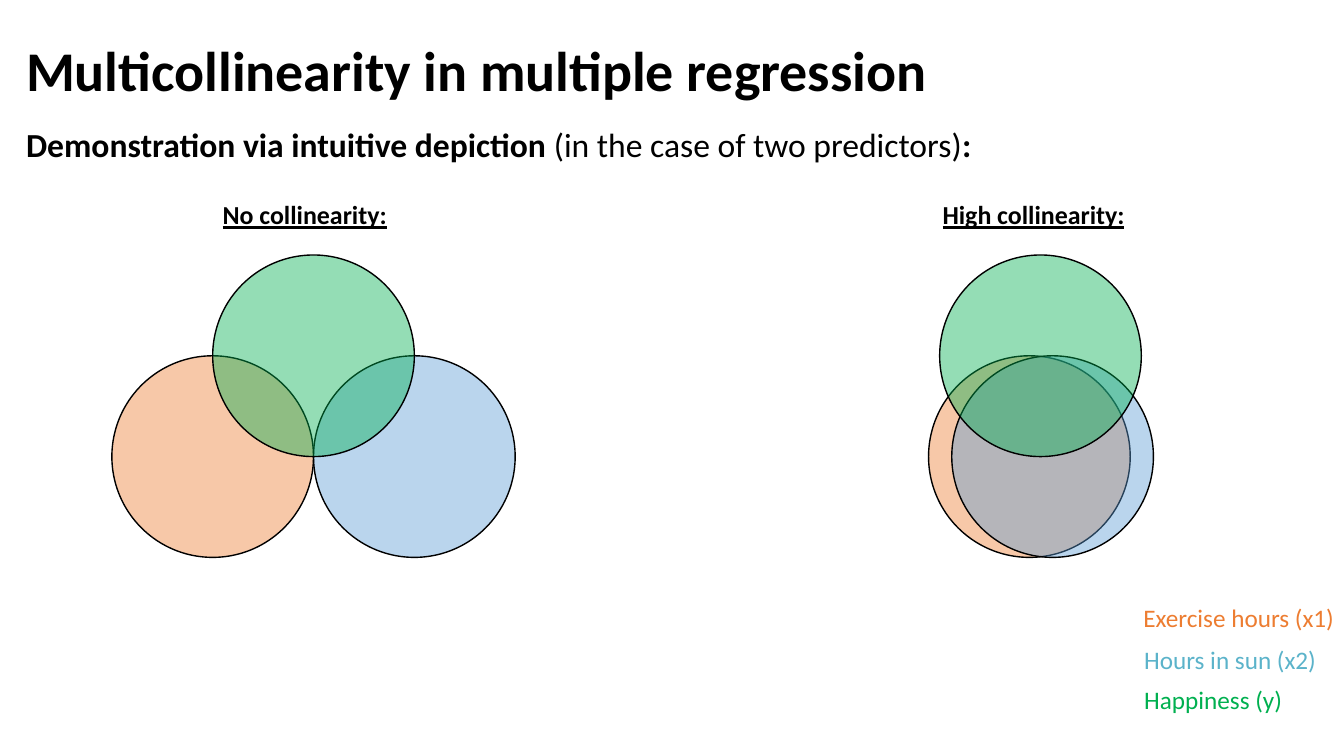
"""Build a slide that contrasts no collinearity with high collinearity."""
from lxml.etree import SubElement
from pptx import Presentation
from pptx.dml.color import RGBColor
from pptx.enum.shapes import MSO_SHAPE as Shape
from pptx.enum.text import MSO_ANCHOR as Anchor, MSO_AUTO_SIZE as AutoSize, PP_ALIGN as Align
from pptx.oxml.ns import qn
from pptx.util import Pt

PX = 9144
BLACK = RGBColor(0x00, 0x00, 0x00)
ORANGE = RGBColor(0xED, 0x7D, 0x31)
BLUE = RGBColor(0x5B, 0x9B, 0xD5)
SKY = RGBColor(0x5B, 0xB3, 0xCA)
GREEN = RGBColor(0x00, 0xB0, 0x50)
DIAMETER = 200
OPACITY = 42000

deck = Presentation()
deck.slide_width, deck.slide_height = 1333 * PX, 750 * PX
page = deck.slides.add_slide(deck.slide_layouts[6])


def add_text(frame, spans, frame_format, para_format, font_format):
    """Write one paragraph of (text, bold) spans into a new text box."""
    box = page.shapes.add_textbox(*(length * PX for length in frame))
    para = box.text_frame.paragraphs[0]
    for name, value in frame_format.items():
        setattr(box.text_frame, name, value)
    for name, value in para_format.items():
        setattr(para, name, value)
    for text, bold in spans:
        span = para.add_run()
        span.text = text
        span.font.name = "Calibri"
        span.font.bold = bold
        span.font.color.rgb = font_format["color"]
        span.font.size = Pt(font_format["size"])
        span.font.underline = font_format.get("underline", False)


def add_circle(left, top, color):
    """Draw one translucent circle with a black outline."""
    circle = page.shapes.add_shape(Shape.OVAL, left * PX, top * PX, DIAMETER * PX, DIAMETER * PX)
    circle.shadow.inherit = False
    circle.fill.solid()
    circle.fill.fore_color.rgb = color
    fill_color = circle.fill._xPr.find(qn("a:solidFill"))[0]
    SubElement(fill_color, qn("a:alpha")).set("val", str(OPACITY))
    circle.line.color.rgb = BLACK
    circle.line.width = Pt(1)


wrapped = {"word_wrap": True}
tight = {"line_spacing": 0.9}

add_text((16, 0, 1226, 145), [("Multicollinearity in multiple regression", True)],
         {"word_wrap": True, "vertical_anchor": Anchor.MIDDLE}, tight,
         {"size": 40, "color": BLACK})
add_text((16, 123, 1292, 60),
         [("Demonstration via intuitive depiction ", True),
          ("(in the case of two predictors)", False), (":", True)],
         wrapped, tight, {"size": 24, "color": BLACK})

diagrams = [
    ("No collinearity:", 211, 224, (111, 311, 211)),
    ("High collinearity:", 925, 251, (921, 944, 932)),
]
for heading, left, width, circle_lefts in diagrams:
    add_text((left, 196, width, 62), [(heading, True)], wrapped, tight,
             {"size": 18.5, "color": BLACK, "underline": True})
    for circle_left, top, color in zip(circle_lefts, (353, 353, 253), (ORANGE, BLUE, GREEN)):
        add_circle(circle_left, top, color)

legend = [
    ("Exercise hours (x1)", 1122, 593, 211, ORANGE, Align.RIGHT),
    ("Hours in sun (x2)", 1125, 634, 193, SKY, Align.LEFT),
    ("Happiness (y)", 1125, 674, 159, GREEN, Align.LEFT),
]
for label, left, top, width, color, alignment in legend:
    add_text((left, top, width, 40), [(label, False)],
             {"word_wrap": False, "auto_size": AutoSize.SHAPE_TO_FIT_TEXT},
             {"alignment": alignment}, {"size": 18, "color": color})

deck.save("out.pptx")
